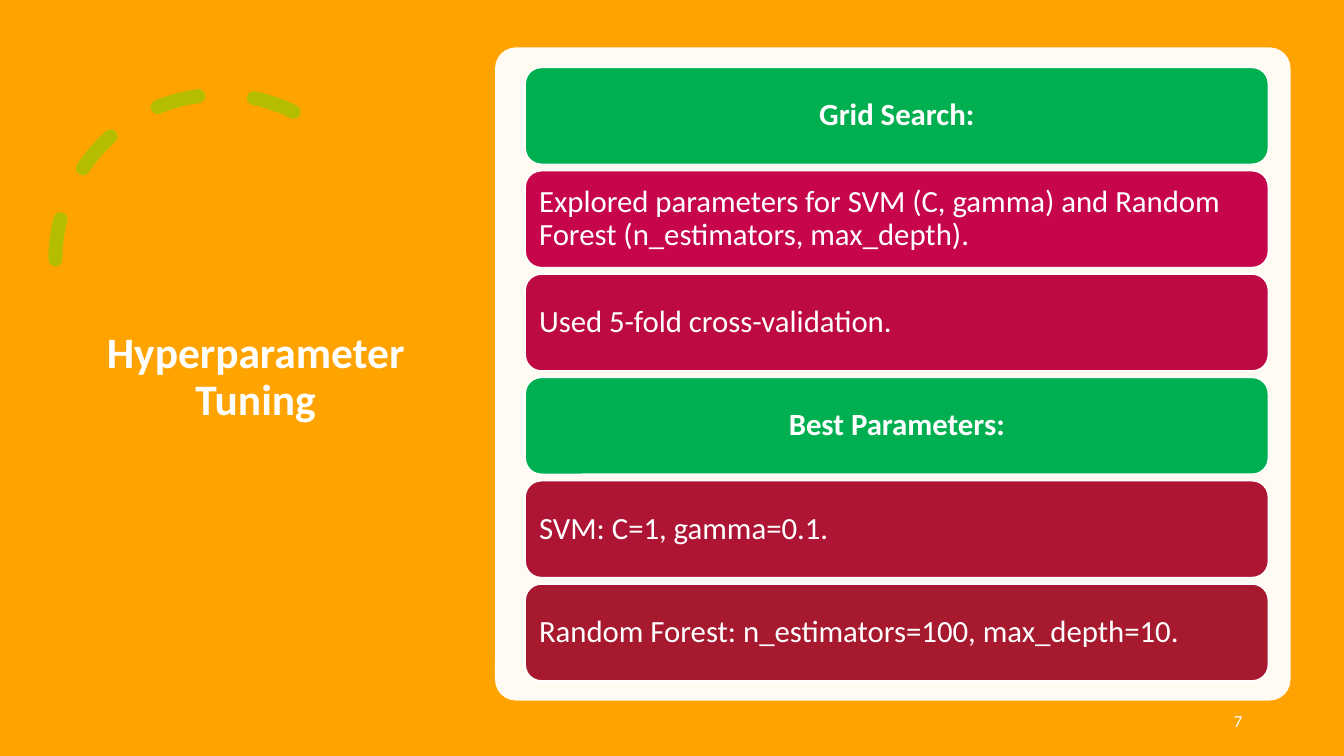
from pptx import Presentation
from pptx.dml.color import RGBColor
from pptx.enum.dml import MSO_LINE
from pptx.enum.shapes import MSO_SHAPE as SHAPE
from pptx.enum.text import MSO_ANCHOR as ANCHOR, PP_ALIGN as ALIGN
from pptx.oxml import parse_xml
from pptx.oxml.ns import nsdecls
from pptx.util import Inches, Pt

WIDTH, HEIGHT = 13.33, 7.5
WHITE = "FFFFFF"
ORANGE = "FFA300"
GREEN = "00B050"
LIME = "B5BD00"
CARDS = [
    ("Grid Search:", GREEN, True),
    ("Explored parameters for SVM (C, gamma) and Random Forest "
     "(n_estimators, max_depth).", "C6054D", False),
    ("Used 5-fold cross-validation.", "BE0A43", False),
    ("Best Parameters:", GREEN, True),
    ("SVM: C=1, gamma=0.1.", "AE1434", False),
    ("Random Forest: n_estimators=100, max_depth=10.", "A6192E", False),
]


def rgb(color):
    return RGBColor.from_string(color)


def write(sp, text, size, bold=False, align=ALIGN.LEFT, spacing=0.9, inset=None):
    tf = sp.text_frame
    tf.word_wrap = True
    tf.vertical_anchor = ANCHOR.MIDDLE
    if inset is not None:
        tf.margin_left = tf.margin_right = Inches(inset)
        tf.margin_top = tf.margin_bottom = Inches(inset)
    p = tf.paragraphs[0]
    p.alignment = align
    p.line_spacing = spacing
    r = p.add_run()
    r.text = text
    r.font.name = "Calibri"
    r.font.size = Pt(size)
    r.font.bold = bold
    r.font.color.rgb = rgb(WHITE)


def add_shape(s, kind, box, fill=None, line=None, width=1):
    sp = s.shapes.add_shape(kind, *map(Inches, box))
    sp.shadow.inherit = False
    if fill:
        sp.fill.solid()
        sp.fill.fore_color.rgb = rgb(fill)
    else:
        sp.fill.background()
    if line:
        sp.line.color.rgb = rgb(line)
        sp.line.width = Pt(width)
    else:
        sp.line.fill.background()
    return sp


def add_text(s, box, text, size, **fmt):
    sp = s.shapes.add_textbox(*map(Inches, box))
    write(sp, text, size, **fmt)


def add_title_side(s, x, y, w, h):
    arc = add_shape(s, SHAPE.ARC, (x, y + 0.24, 3.27, 3.27), line=LIME, width=10)
    arc.adjustments[0] = 146.13
    arc.adjustments[1] = 0
    arc.line.dash_style = MSO_LINE.DASH
    arc.line._get_or_add_ln().set("cap", "rnd")
    arc._element.spPr.xfrm.set("flipH", "1")
    add_text(s, (x + 0.37, y, w - 0.37, h), "Hyperparameter Tuning", 31,
             bold=True, align=ALIGN.CENTER)


def add_card_panel(s, x, y, w, h):
    panel = add_shape(s, SHAPE.ROUNDED_RECTANGLE, (x, y, w, h), fill=WHITE)
    panel.adjustments[0] = 0.032
    color = panel._element.spPr.find(".//{*}solidFill/{*}srgbClr")
    color.append(parse_xml(f'<a:alpha {nsdecls("a")} val="95000"/>'))

    card_h, pitch = 0.96, 1.025
    for i, (text, fill, heading) in enumerate(CARDS):
        box = (x + 0.3, y + 0.2 + i * pitch, w - 0.52, card_h)
        card = add_shape(s, SHAPE.ROUNDED_RECTANGLE, box, fill=fill, line=WHITE)
        write(card, text, 22, bold=heading, inset=0.09,
              align=ALIGN.CENTER if heading else ALIGN.LEFT)


def main():
    prs = Presentation()
    prs.slide_width, prs.slide_height = Inches(WIDTH), Inches(HEIGHT)
    s = prs.slides.add_slide(prs.slide_layouts[6])
    add_shape(s, SHAPE.RECTANGLE, (0, 0, WIDTH, HEIGHT), fill=ORANGE)
    add_title_side(s, 0.55, 0.7, 3.6, 6.09)
    add_card_panel(s, 4.91, 0.47, 7.89, 6.48)
    add_text(s, (9.42, 6.95, 3, 0.4), "7", 12, align=ALIGN.RIGHT, spacing=1.0)
    prs.save("out.pptx")


if __name__ == "__main__":
    main()
